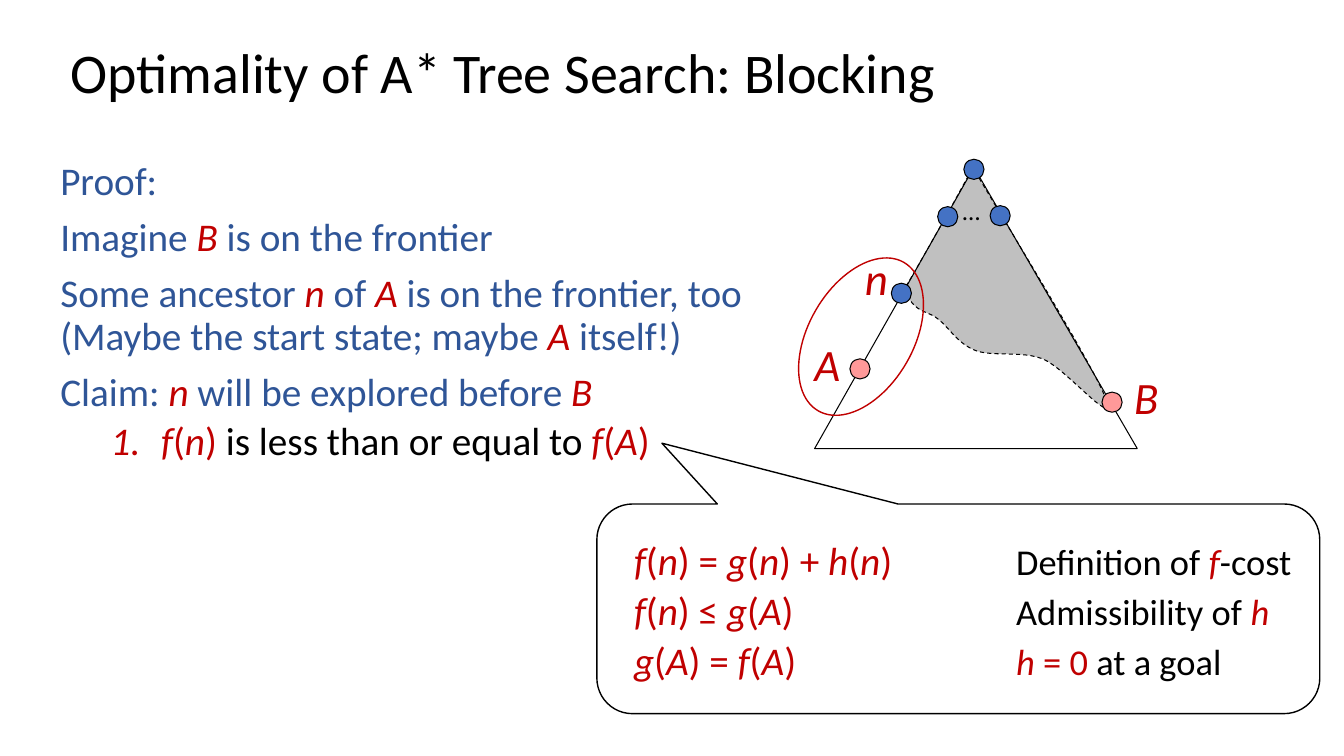
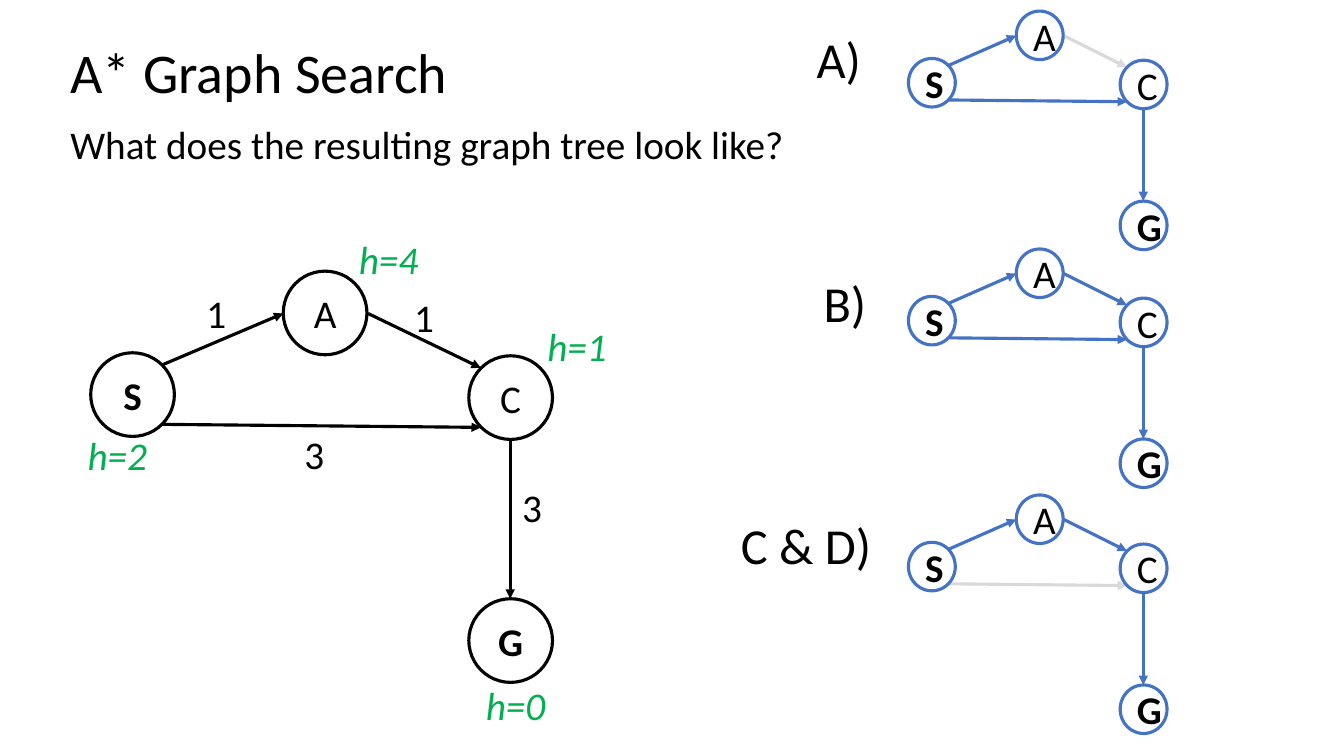
"""Build two slides on A* search: the blocking proof and the graph search question."""
from dataclasses import dataclass

from lxml import etree
from pptx import Presentation
from pptx.dml.color import RGBColor
from pptx.enum.dml import MSO_LINE
from pptx.enum.shapes import MSO_CONNECTOR, MSO_SHAPE
from pptx.enum.text import MSO_ANCHOR, PP_ALIGN
from pptx.oxml.ns import qn
from pptx.util import Emu, Pt

ELLIPSE = MSO_SHAPE.OVAL
CALLOUT = MSO_SHAPE.ROUNDED_RECTANGULAR_CALLOUT
STRAIGHT = MSO_CONNECTOR.STRAIGHT
DASH = MSO_LINE.DASH
MIDDLE = MSO_ANCHOR.MIDDLE
TOP = MSO_ANCHOR.TOP
CENTER = PP_ALIGN.CENTER

EMU_PER_PX = 9144
FONT = "Calibri"
BLACK, WHITE = "000000", "FFFFFF"
NAVY, BLUE, RED, PINK = "2F5597", "4472C4", "C00000", "FF9999"
GREEN, SILVER, PALE = "00B050", "C0C0C0", "D9D9D9"
DOT_SIZE = 20
NODE_SIZE = 83
CURVE_STEPS = 12


@dataclass(frozen=True)
class Span:
    text: str
    size: int = 28
    color: str = BLACK
    italic: bool = False
    bold: bool = False


@dataclass(frozen=True)
class Para:
    spans: list[Span]
    space_before: int = 0
    line_spacing: float = 1.0
    numbered: bool = False
    tab: int = 0


@dataclass(frozen=True)
class Dot:
    left: int
    top: int
    color: str


@dataclass(frozen=True)
class Label:
    left: int
    top: int
    width: int
    height: int
    span: Span


@dataclass(frozen=True)
class Node:
    name: str
    left: int
    top: int
    bold: bool = False


@dataclass(frozen=True)
class Edge:
    name: str
    start: tuple[int, int]
    end: tuple[int, int]


@dataclass(frozen=True)
class Graph:
    left: int
    top: int
    color: str
    scale_x: float = 1.0
    scale_y: float = 1.0
    unused: str = ""


NODES = [
    Node("S", 0, 0, bold=True),
    Node("A", 191, -81),
    Node("C", 375, 3),
    Node("G", 375, 244, bold=True),
]
EDGES = [
    Edge("SA", (71, 12), (191, -39)),
    Edge("SC", (71, 71), (387, 74)),
    Edge("AC", (275, -39), (387, 15)),
    Edge("CG", (416, 86), (416, 244)),
]
GRAPHS = [
    Graph(90, 350, BLACK),
    Graph(901, 58, BLUE, 0.56, 0.58, unused="AC"),
    Graph(901, 294, BLUE, 0.56, 0.58),
    Graph(901, 538, BLUE, 0.56, 0.58, unused="SC"),
]
GRAPH_LABELS = [
    *(Label(left, top, 40, 57, Span(cost))
      for left, top, cost in [(195, 282, "1"), (292, 422, "3"), (401, 286, "1"), (508, 475, "3")]),
    *(Label(left, top, 81, 57, Span(text, color=GREEN, italic=True))
      for left, top, text in [(77, 423, "h=2"), (346, 229, "h=4"), (533, 315, "h=1"), (472, 671, "h=0")]),
    Label(800, 23, 65, 71, Span("A)", 36)),
    Label(807, 265, 63, 71, Span("B)", 36)),
    Label(725, 505, 151, 71, Span("C & D)", 36)),
]
TREE_LABELS = [
    Label(945, 189, 30, 40, Span("…", 18)),
    Label(798, 329, 46, 64, Span("A", 32, RED, italic=True)),
    Label(1115, 362, 45, 64, Span("B", 32, RED, italic=True)),
    Label(848, 244, 43, 64, Span("n", 32, RED, italic=True)),
]
DOTS = [
    Dot(930, 205, BLUE), Dot(982, 204, BLUE), Dot(1093, 389, PINK),
    Dot(843, 356, PINK), Dot(956, 158, BLUE), Dot(884, 281, BLUE),
]
TRIANGLE = [(808, 445), (1128, 445), (966, 166)]
EXPLORED_START = (964, 168)
EXPLORED_CURVES = [
    ((953, 188), (931, 229), (897, 287)),
    ((907, 312), (919, 307), (931, 317)),
    ((943, 327), (950, 341), (968, 348)),
    ((985, 354), (1013, 348), (1034, 356)),
    ((1056, 364), (1108, 428), (1097, 396)),
    ((1086, 365), (994, 216), (966, 168)),
]


def px(length: float) -> Emu:
    """Turn px into EMU."""
    return Emu(round(length * EMU_PER_PX))


def rgb(color: str) -> RGBColor:
    """Turn a hex string into a colour."""
    return RGBColor.from_string(color)


def marked(text: str, color: str = RED, size: int = 28) -> list[Span]:
    """Split text at bars, making every second part a red italic variable."""
    return [
        Span(part, size, RED if index % 2 else color, italic=bool(index % 2))
        for index, part in enumerate(text.split("|")) if part
    ]


def fill_frame(frame, paras: list[Para]) -> None:
    """Write formatted paragraphs into a text frame."""
    for index, para in enumerate(paras):
        paragraph = frame.add_paragraph() if index else frame.paragraphs[0]
        paragraph.line_spacing = para.line_spacing
        paragraph.space_before = Pt(para.space_before)
        properties = paragraph._p.get_or_add_pPr()
        if para.numbered:
            properties.set("marL", str(px(100)))
            properties.set("indent", str(px(-50)))
            etree.SubElement(properties, qn("a:buAutoNum"), type="arabicPeriod")
        if para.tab:
            tabs = etree.SubElement(properties, qn("a:tabLst"))
            etree.SubElement(tabs, qn("a:tab"), pos=str(px(para.tab)), algn="l")
        for span in para.spans:
            run = paragraph.add_run()
            run.text = span.text
            run.font.name = FONT
            run.font.size = Pt(span.size)
            run.font.italic = span.italic
            run.font.bold = span.bold
            run.font.color.rgb = rgb(span.color)


def add_text(page, left: int, top: int, width: int, height: int, paras: list[Para],
             wrap: bool = True, anchor=TOP) -> None:
    """Add a text box."""
    box = page.shapes.add_textbox(px(left), px(top), px(width), px(height))
    box.text_frame.word_wrap = wrap
    box.text_frame.vertical_anchor = anchor
    fill_frame(box.text_frame, paras)


def add_label(page, label: Label) -> None:
    """Add a one-line label that does not wrap."""
    add_text(page, label.left, label.top, label.width, label.height, [Para([label.span])], wrap=False)


def add_title(page, text: str, width: int) -> None:
    """Add the slide title."""
    add_text(page, 60, 40, width, 69, [Para([Span(text, 40)], line_spacing=0.9)], anchor=MIDDLE)


def style(shape, fill: str | None, line: str, weight: float) -> None:
    """Set the fill and outline of a shape and remove its shadow."""
    shape.shadow.inherit = False
    if fill:
        shape.fill.solid()
        shape.fill.fore_color.rgb = rgb(fill)
    else:
        shape.fill.background()
    shape.line.color.rgb = rgb(line)
    shape.line.width = Pt(weight)


def add_shape(page, kind, left: float, top: float, width: float, height: float,
              fill: str | None, line: str, weight: float):
    """Add a styled preset shape."""
    shape = page.shapes.add_shape(kind, px(left), px(top), px(width), px(height))
    style(shape, fill, line, weight)
    return shape


def add_outline(page, points: list[tuple[float, float]], fill: str | None, close: bool):
    """Add a freeform through the given points."""
    first, *rest = [(px(x), px(y)) for x, y in points]
    builder = page.shapes.build_freeform(*first, scale=1.0)
    builder.add_line_segments(rest, close=close)
    shape = builder.convert_to_shape()
    style(shape, fill, BLACK, 0.75)
    return shape


def curve_points(start: tuple[int, int], curves: list) -> list[tuple[float, float]]:
    """Sample a chain of cubic curves."""
    points = [start]
    for curve in curves:
        corners = (points[-1], *curve)
        for step in range(1, CURVE_STEPS + 1):
            t = step / CURVE_STEPS
            weights = ((1 - t) ** 3, 3 * t * (1 - t) ** 2, 3 * t * t * (1 - t), t ** 3)
            points.append(tuple(
                sum(weight * corner[axis] for weight, corner in zip(weights, corners))
                for axis in (0, 1)))
    return points


def add_arrow(page, start: tuple[float, float], end: tuple[float, float], color: str) -> None:
    """Add a straight arrow."""
    arrow = page.shapes.add_connector(STRAIGHT, *map(px, (*start, *end)))
    arrow.line.color.rgb = rgb(color)
    arrow.line.width = Pt(2.25)
    etree.SubElement(arrow.get_or_add_ln(), qn("a:tailEnd"), type="triangle")
    etree.SubElement(arrow._element.spPr, qn("a:effectLst"))


def add_graph(page, graph: Graph) -> None:
    """Draw the four-node graph at its place and scale."""
    def place(x: float, y: float) -> tuple[float, float]:
        return graph.left + x * graph.scale_x, graph.top + y * graph.scale_y

    for edge in sorted(EDGES, key=lambda item: item.name != graph.unused):
        color = PALE if edge.name == graph.unused else graph.color
        add_arrow(page, place(*edge.start), place(*edge.end), color)
    for node in NODES:
        circle = add_shape(page, ELLIPSE, *place(node.left, node.top), NODE_SIZE * graph.scale_x,
                           NODE_SIZE * graph.scale_y, None, graph.color, 2.25)
        circle.text_frame.word_wrap = True
        circle.text_frame.vertical_anchor = MIDDLE
        fill_frame(circle.text_frame, [Para([Span(node.name, bold=node.bold)])])
        circle.text_frame.paragraphs[0].alignment = CENTER


def build_proof(page) -> None:
    """Build the blocking proof slide."""
    callout = add_shape(page, CALLOUT, 592, 500, 717, 208, WHITE, BLACK, 1)
    for index, value in enumerate((-0.41, -0.79, 0.17)):
        callout.adjustments[index] = value
    add_title(page, "Optimality of A* Tree Search: Blocking", 1150)
    statements = [
        "Proof:",
        "Imagine |B| is on the frontier",
        "Some ancestor |n| of |A| is on the frontier, too (Maybe the start state; maybe |A| itself!)",
        "Claim: |n| will be explored before |B|",
    ]
    proof = [Para(marked(text, NAVY), 10 if index else 0, 0.9) for index, text in enumerate(statements)]
    step = marked("|f|(|n|) ") + marked("is less than or equal to ", BLACK) + marked("|f|(|A|)")
    add_text(page, 50, 155, 717, 495, [*proof, Para(step, 5, 0.9, numbered=True)])
    reasons = [
        ("|f|(|n|) = |g|(|n|) + |h|(|n|)\t", marked("Definition of |f|-cost", BLACK, 26)),
        ("|f|(|n|) ≤ |g|(|A|)\t", marked("Admissibility of |h|", BLACK, 26)),
        ("|g|(|A|) = |f|(|A|)\t", marked("|h| = 0 ", RED, 26) + marked("at a goal", BLACK, 26)),
    ]
    add_text(page, 619, 527, 715, 158, [
        Para(marked(formula) + reason, 2 if index else 0, tab=379)
        for index, (formula, reason) in enumerate(reasons)])
    explored = add_outline(page, curve_points(EXPLORED_START, EXPLORED_CURVES), SILVER, close=False)
    explored.line.dash_style = DASH
    add_outline(page, TRIANGLE, None, close=True)
    for dot in DOTS:
        add_shape(page, ELLIPSE, dot.left, dot.top, DOT_SIZE, DOT_SIZE, dot.color, BLACK, 0.75)
    add_shape(page, ELLIPSE, 802, 249, 104, 170, None, RED, 1).rotation = 30
    for label in TREE_LABELS:
        add_label(page, label)


def build_question(page) -> None:
    """Build the graph search question slide."""
    add_title(page, "A* Graph Search", 699)
    add_text(page, 60, 114, 755, 57, [Para([Span("What does the resulting graph tree look like?")])])
    for graph in GRAPHS:
        add_graph(page, graph)
    for label in GRAPH_LABELS:
        add_label(page, label)


def main() -> None:
    """Build and save the deck."""
    deck = Presentation()
    deck.slide_width, deck.slide_height = px(1333), px(750)
    for build in (build_proof, build_question):
        build(deck.slides.add_slide(deck.slide_layouts[6]))
    deck.save("out.pptx")


if __name__ == "__main__":
    main()
